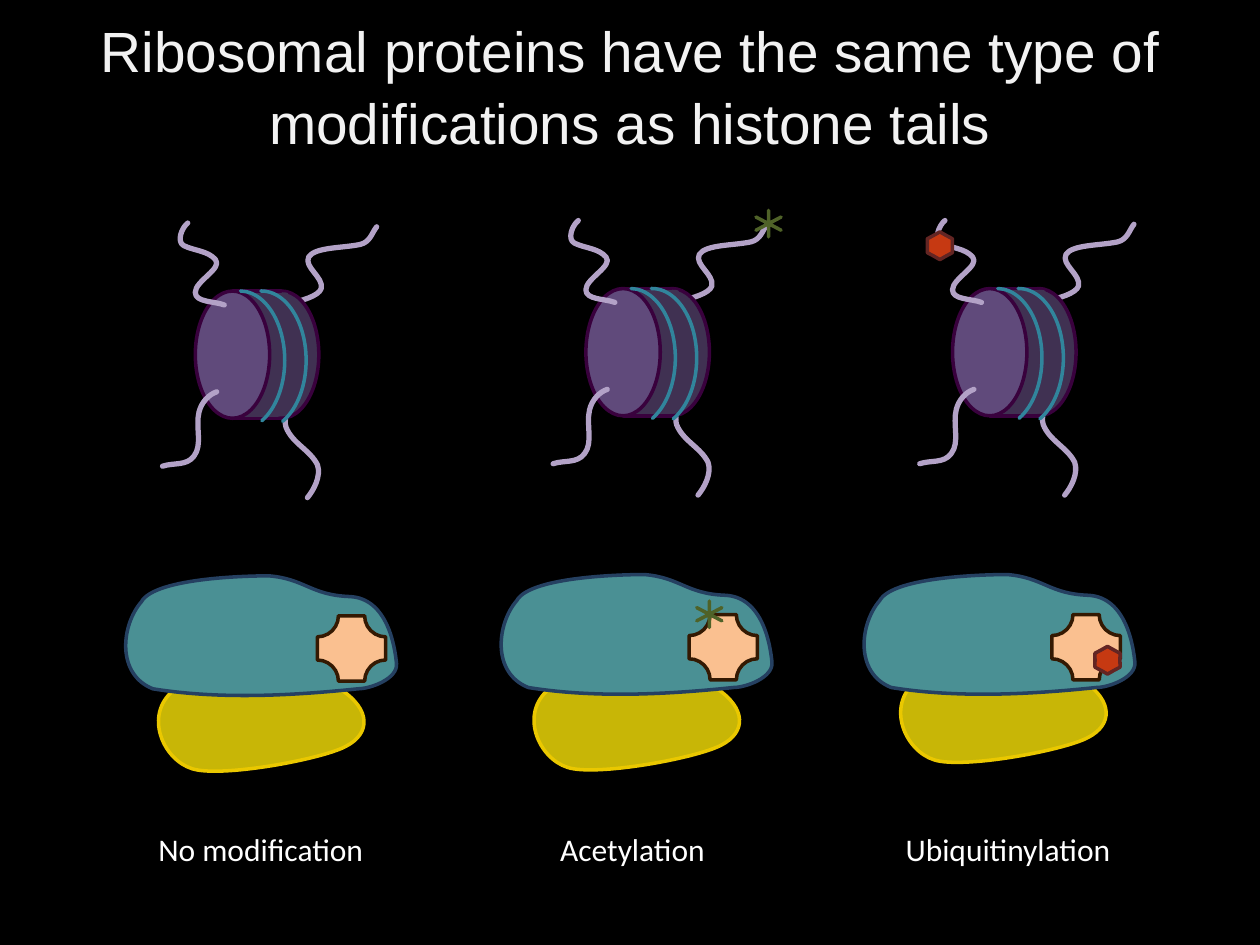
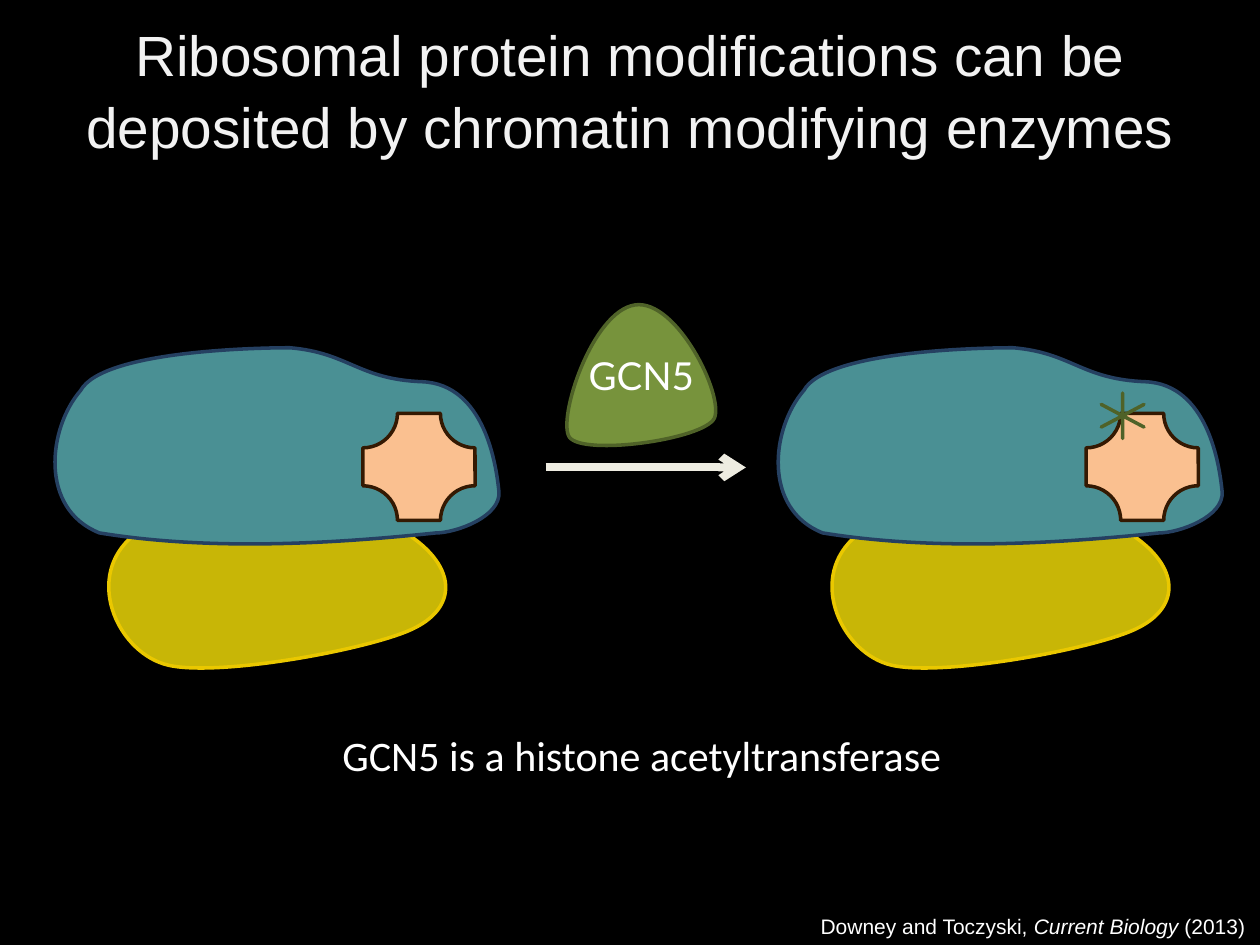
"""Build two slides that compare histone tail and ribosomal protein modifications."""
from dataclasses import dataclass
from typing import NamedTuple, Optional, Union

from lxml import etree
from pptx import Presentation
from pptx.dml.color import RGBColor
from pptx.enum.shapes import MSO_CONNECTOR as CXN, MSO_SHAPE as MS
from pptx.enum.text import MSO_ANCHOR as ANCHOR, PP_ALIGN as ALIGN
from pptx.oxml.ns import qn
from pptx.shapes.group import GroupShape
from pptx.slide import Slide
from pptx.util import Pt

PX = 9144
CURVE_STEPS = 24
Canvas = Union[Slide, GroupShape]


@dataclass(frozen=True)
class Theme:
    background: str = "000000"
    title: str = "F2F2F2"
    text: str = "FFFFFF"
    tail: str = "B3A2C7"
    histone_back: str = "403152"
    histone_front: str = "604A7B"
    histone_edge: str = "39013D"
    dna: str = "31859C"
    small_subunit: str = "C8B606"
    small_edge: str = "EAC800"
    large_subunit: str = "4A9094"
    large_edge: str = "254061"
    protein: str = "FAC090"
    protein_edge: str = "341902"
    acetyl: str = "4F81BD"
    acetyl_edge: str = "4F6228"
    ubiquitin: str = "C63912"
    ubiquitin_edge: str = "632523"
    enzyme: str = "77933C"
    arrow: str = "EEECE1"
    heading_font: str = "Arial"
    body_font: str = "Calibri"
    enzyme_font: str = "Lato"
    title_pt: float = 32.4
    caption_pt: float = 24
    enzyme_pt: float = 22
    label_pt: float = 18
    citation_pt: float = 12
    edge_pt: float = 2
    tail_pt: float = 3
    arrow_pt: float = 4.5


T = Theme()


class Box(NamedTuple):
    x: float
    y: float
    w: float
    h: float


class Outline(NamedTuple):
    """A start point, then segments of one point (line) or three (curve)."""
    start: tuple[int, int]
    segments: tuple[tuple[int, ...], ...]
    closed: bool = True


class Mark(NamedTuple):
    x: int
    y: int
    w: int
    h: int
    fill: str
    edge: str
    depth: float


class Ribosome(NamedTuple):
    x: int
    y: int
    scale: float = 1
    small_shift: tuple[int, int] = (0, 0)
    protein_shift: int = 0


class Column(NamedTuple):
    label: str
    label_x: int
    label_w: int
    nucleosome: tuple[int, int]
    ribosome: Ribosome
    marks: tuple[Mark, ...] = ()


BACK_TAILS = (
    Outline((228, 241), ((239, 239, 253, 235, 255, 229), (257, 220, 241, 212, 245, 204),
                         (250, 196, 272, 197, 286, 194), (294, 192, 295, 185, 299, 180)), False),
    Outline((233, 322), ((228, 325, 225, 333, 227, 339), (232, 352, 246, 357, 252, 369),
                         (255, 378, 249, 389, 244, 395)), False),
)
FRONT_TAILS = (
    Outline((172, 311), ((166, 313, 160, 319, 158, 327), (155, 339, 161, 353, 154, 362),
                         (148, 370, 138, 367, 129, 370)), False),
    Outline((149, 177), ((144, 181, 140, 192, 146, 195), (154, 199, 165, 199, 171, 206),
                         (177, 213, 155, 223, 155, 232), (155, 240, 170, 239, 178, 242)), False),
)
HISTONE_SIDES = (
    Outline((226, 330), ((224, 330, 225, 330, 223, 330), (220, 332, 211, 331, 206, 331),
                         (201, 331, 187, 331, 184, 331), (182, 330, 193, 323, 192, 321),
                         (194, 317, 192, 311, 193, 307), (212, 308), (227, 315),
                         (226, 320, 226, 325, 226, 330))),
    Outline((184, 232), ((186, 232, 189, 231, 191, 231), (217, 231),
                         (222, 232, 222, 231, 224, 232), (226, 232, 229, 232, 229, 234),
                         (224, 247), (184, 247), (184, 242, 184, 237, 184, 232))),
)
SMALL = Outline((86, 251), ((48, 239, 23, 181, 62, 149), (162, 144, 206, 135, 281, 149),
                            (318, 174, 319, 205, 286, 222), (254, 239, 123, 263, 86, 251)))
LARGE = Outline((20, 34), ((38, 1, 170, 0, 186, 0), (233, 4, 240, 25, 291, 27),
                           (341, 29, 350, 94, 352, 114), (354, 134, 318, 147, 302, 147),
                           (216, 156, 121, 161, 35, 147), (-13, 128, -6, 64, 20, 34)))
PROTEIN = Box(244, 52, 89, 85)
ENZYME = Outline((452, 347), ((442, 333, 470, 247, 504, 242), (537, 237, 575, 314, 567, 332),
                              (558, 349, 463, 362, 452, 347)))


def acetyl(x: int, y: int, w: int = 20, h: int = 21) -> Mark:
    return Mark(x, y, w, h, T.acetyl, T.acetyl_edge, 0)


def ubiquitin(x: int, y: int) -> Mark:
    return Mark(x, y, 20, 22, T.ubiquitin, T.ubiquitin_edge, 0.429)


SMALL_SCALE = 0.61
COLUMNS = (
    Column("No modification", 112, 190, (0, 0),
           Ribosome(100, 457, SMALL_SCALE, protein_shift=3)),
    Column("Acetylation", 394, 216, (310, -2), Ribosome(398, 456, SMALL_SCALE),
           (acetyl(600, 167), acetyl(553, 477))),
    Column("Ubiquitinylation", 701, 198, (601, -2),
           Ribosome(686, 456, SMALL_SCALE, small_shift=(3, -6)),
           (ubiquitin(736, 184), ubiquitin(869, 513))),
)


def emu(px: float) -> int:
    return round(px * PX)


def rgb(color: str) -> RGBColor:
    return RGBColor.from_string(color)


def style(sp, edge: Optional[str] = None, width: float = T.edge_pt, fill: Optional[str] = None):
    sp.shadow.inherit = False
    if fill:
        sp.fill.solid()
        sp.fill.fore_color.rgb = rgb(fill)
    else:
        sp.fill.background()
    if edge:
        stroke(sp, edge, width)
    else:
        sp.line.fill.background()
    return sp


def stroke(sp, color: str, width: float):
    sp.line.color.rgb = rgb(color)
    sp.line.width = Pt(width)
    ln = sp._element.spPr.find(qn("a:ln"))
    ln.set("cap", "rnd")
    return ln


def draw_preset(canvas: Canvas, kind: MS, box: Box, adjust: tuple[float, ...] = (), **look):
    sp = canvas.shapes.add_shape(kind, *map(emu, box))
    for i, value in enumerate(adjust):
        sp.adjustments[i] = value
    return style(sp, **look)


def flatten(outline: Outline) -> list[tuple[float, float]]:
    points = [outline.start]
    for seg in outline.segments:
        if len(seg) == 2:
            points.append(seg)
            continue
        nodes = (points[-1], seg[:2], seg[2:4], seg[4:])
        for step in range(1, CURVE_STEPS + 1):
            t = step / CURVE_STEPS
            u = 1 - t
            weights = (u ** 3, 3 * u * u * t, 3 * u * t * t, t ** 3)
            points.append(tuple(sum(k * n[axis] for k, n in zip(weights, nodes))
                                for axis in (0, 1)))
    return points


def draw_outline(canvas: Canvas, outline: Outline, x: float = 0, y: float = 0,
                 scale: float = 1, **look):
    """Make a freeform with the outline's true bounds and give it cubic segments."""
    xs, ys = zip(*flatten(outline))
    left, top = min(xs), min(ys)
    builder = canvas.shapes.build_freeform(emu(x + left * scale), emu(y + top * scale))
    builder.add_line_segments([(emu(x + max(xs) * scale), emu(y + max(ys) * scale))],
                              close=False)
    sp = builder.convert_to_shape()
    route = next(sp._element.spPr.iter(qn("a:path")))
    for child in list(route):
        route.remove(child)

    def add(tag: str, coords: tuple[int, ...]):
        node = etree.SubElement(route, qn(tag))
        for px, py in zip(coords[::2], coords[1::2]):
            etree.SubElement(node, qn("a:pt"), x=str(emu((px - left) * scale)),
                             y=str(emu((py - top) * scale)))

    add("a:moveTo", outline.start)
    for seg in outline.segments:
        add("a:lnTo" if len(seg) == 2 else "a:cubicBezTo", seg)
    if outline.closed:
        etree.SubElement(route, qn("a:close"))
    return style(sp, **look)


def draw_line(canvas: Canvas, x1: float, x2: float, y: float, color: str,
              width: float = T.edge_pt, arrow: bool = False):
    cxn = canvas.shapes.add_connector(CXN.STRAIGHT, emu(x1), emu(y), emu(x2), emu(y))
    ln = stroke(cxn, color, width)
    if arrow:
        ln.set("cap", "flat")
        etree.SubElement(ln, qn("a:tailEnd"), type="arrow")
    etree.SubElement(cxn._element.spPr, qn("a:effectLst"))


def write(sp, text: str, *, size: float, font: str = T.body_font, color: str = T.text,
          align: ALIGN = ALIGN.CENTER, anchor: ANCHOR = ANCHOR.TOP,
          spacing: Optional[float] = None):
    """Write text into a shape; parts between asterisks are italic."""
    tf = sp.text_frame
    tf.word_wrap = True
    tf.vertical_anchor = anchor
    p = tf.paragraphs[0]
    p.alignment = align
    p.line_spacing = spacing
    for i, part in enumerate(text.split("*")):
        r = p.add_run()
        r.text = part
        r.font.size, r.font.name = Pt(size), font
        r.font.color.rgb = rgb(color)
        r.font.italic = i % 2 == 1


def add_text(slide: Slide, box: Box, text: str, **fmt):
    write(slide.shapes.add_textbox(*map(emu, box)), text, **fmt)


def add_slide(prs, title: str, title_y: int) -> Slide:
    slide = prs.slides.add_slide(prs.slide_layouts[6])
    slide.background.fill.solid()
    slide.background.fill.fore_color.rgb = rgb(T.background)
    add_text(slide, Box(0, title_y, 1000, 125), title, size=T.title_pt, font=T.heading_font,
             color=T.title, anchor=ANCHOR.MIDDLE, spacing=1.06)
    return slide


def draw_nucleosome(slide: Slide, dx: int, dy: int):
    group = slide.shapes.add_group_shape()

    def tails(outlines: tuple[Outline, ...]):
        for tail in outlines:
            draw_outline(group, tail, dx, dy, edge=T.tail, width=T.tail_pt)

    def disc(x: int, fill: str):
        draw_preset(group, MS.OVAL, Box(x + dx, 231 + dy, 59, 101),
                    edge=T.histone_edge, fill=fill)

    tails(BACK_TAILS)
    disc(194, T.histone_back)
    for side in HISTONE_SIDES:
        draw_outline(group, side, dx, dy, fill=T.histone_back)
    disc(155, T.histone_front)
    for y in (332, 231):
        draw_line(group, 185 + dx, 223 + dx, y + dy, T.histone_edge)
    for x, angles in ((155, (162.27, 42.07)), (172, (161.73, 42.51))):
        draw_preset(group, MS.ARC, Box(x + dx, 231 + dy, 71, 110), angles, edge=T.dna)
    tails(FRONT_TAILS)


def draw_ribosome(slide: Slide, rib: Ribosome):
    group = slide.shapes.add_group_shape()
    x, y, scale, (sx, sy), shift = rib
    draw_outline(group, SMALL, x + sx, y + sy, scale, edge=T.small_edge, fill=T.small_subunit)
    draw_outline(group, LARGE, x, y, scale, edge=T.large_edge, fill=T.large_subunit)
    left, top, w, h = (v * scale for v in PROTEIN)
    draw_preset(group, MS.PLAQUE, Box(x + left + shift, y + top, w, h), (0.323,),
                edge=T.protein_edge, fill=T.protein)


def draw_mark(slide: Slide, mark: Mark):
    draw_preset(slide, MS.STAR_6_POINT, Box(*mark[:4]), (mark.depth,),
                edge=mark.edge, fill=mark.fill)


def build_comparison(prs):
    slide = add_slide(prs, "Ribosomal proteins have the same type of modifications "
                           "as histone tails", 4)
    for col in COLUMNS:
        draw_nucleosome(slide, *col.nucleosome)
        draw_ribosome(slide, col.ribosome)
        for mark in col.marks:
            draw_mark(slide, mark)
        add_text(slide, Box(col.label_x, 654, col.label_w, 40), col.label, size=T.label_pt)


def build_enzyme(prs):
    slide = add_slide(prs, "Ribosomal protein modifications can be deposited by "
                           "chromatin modifying enzymes", 7)
    for x in (44, 618):
        draw_ribosome(slide, Ribosome(x, 276))
    draw_line(slide, 433, 592, 371, T.arrow, T.arrow_pt, arrow=True)
    enzyme = draw_outline(slide, ENZYME, edge=T.acetyl_edge, fill=T.enzyme)
    write(enzyme, "GCN5", size=T.enzyme_pt, font=T.enzyme_font, anchor=ANCHOR.MIDDLE)
    add_text(slide, Box(256, 574, 507, 50), "GCN5 is a histone acetyltransferase",
             size=T.caption_pt)
    draw_mark(slide, acetyl(874, 312, 34, 36))
    add_text(slide, Box(414, 720, 584, 30), "Downey and Toczyski, *Current Biology* (2013)",
             size=T.citation_pt, font=T.heading_font, align=ALIGN.RIGHT)


def main():
    prs = Presentation()
    prs.slide_width, prs.slide_height = emu(1000), emu(750)
    build_comparison(prs)
    build_enzyme(prs)
    prs.save("out.pptx")


if __name__ == "__main__":
    main()
